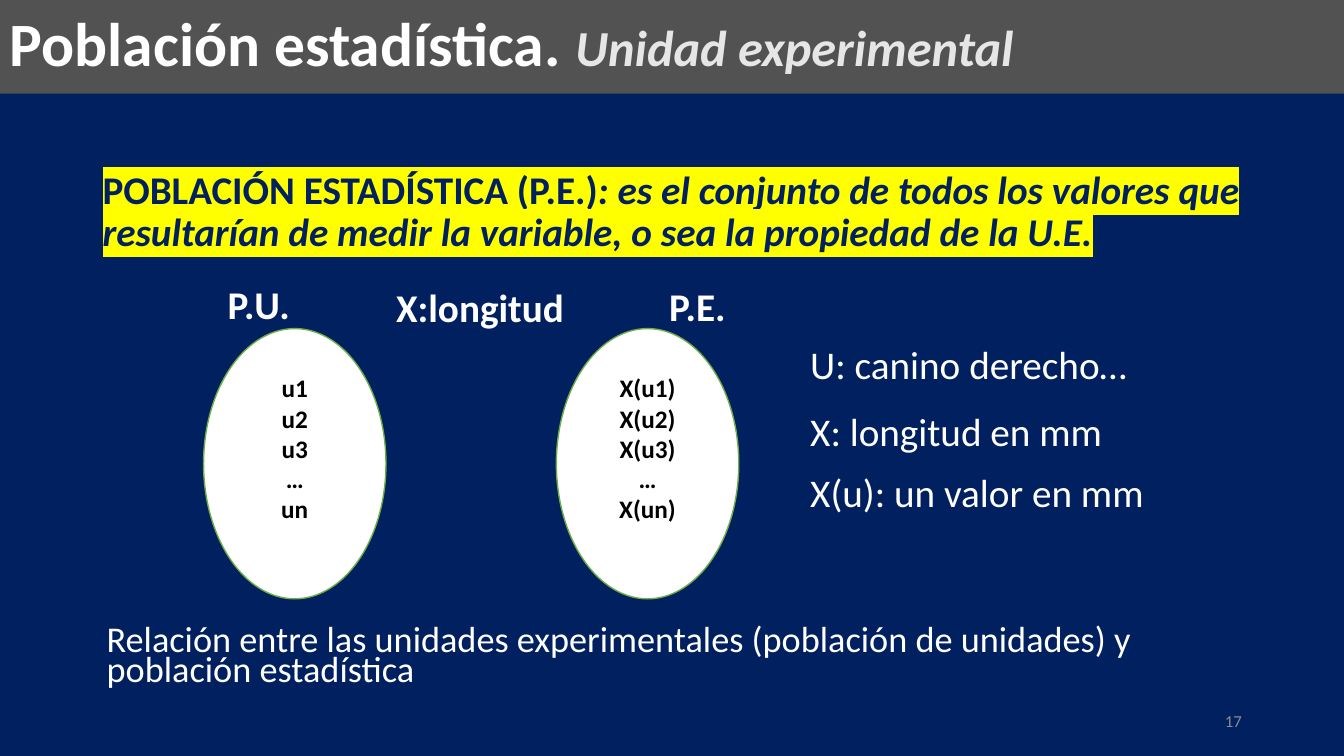
"""Builds the slide on statistical population and experimental unit."""
import dataclasses

import lxml.etree
import pptx
import pptx.dml.color
import pptx.enum.shapes
import pptx.enum.text
import pptx.oxml.ns
import pptx.util

Pt = pptx.util.Pt
Shape = pptx.enum.shapes.MSO_SHAPE
Align = pptx.enum.text.PP_ALIGN
Anchor = pptx.enum.text.MSO_ANCHOR


def rgb(code):
    return pptx.dml.color.RGBColor.from_string(code)


@dataclasses.dataclass(frozen=True)
class Theme:
    font: str = "Calibri"
    navy: str = "002060"
    band: str = "525252"
    white: str = "FFFFFF"
    black: str = "000000"
    pale: str = "E7E6E6"
    gray: str = "8C8C8C"
    green: str = "70AD47"
    yellow: str = "FFFF00"
    title: float = 44
    sub: float = 36
    body: float = 28
    note: float = 25.9
    item: float = 18
    page: float = 12


class Deck:
    def __init__(self, theme):
        self.theme = theme
        self.show = pptx.Presentation()
        self.show.slide_width, self.show.slide_height = Pt(960), Pt(540)
        self.slide = self.show.slides.add_slide(self.show.slide_layouts[6])
        fill = self.slide.background.fill
        fill.solid()
        fill.fore_color.rgb = rgb(theme.navy)

    def style(self, run, size, color, bold=False, italic=False, mark=None):
        font = run.font
        font.name, font.size = self.theme.font, Pt(size)
        font.bold, font.italic = bold, italic
        font.color.rgb = rgb(color)
        if mark:
            qn = pptx.oxml.ns.qn
            light = lxml.etree.Element(qn("a:highlight"))
            lxml.etree.SubElement(light, qn("a:srgbClr"), val=mark)
            run._r.get_or_add_rPr().find(qn("a:solidFill")).addnext(light)

    def label(self, shape, runs, align=Align.LEFT, anchor=Anchor.TOP, lead=None):
        frame = shape.text_frame
        frame.word_wrap, frame.vertical_anchor = True, anchor
        par = frame.paragraphs[0]
        par.alignment = align
        if lead:
            par.line_spacing = lead
        for words, look in runs:
            run = par.add_run()
            run.text = words
            self.style(run, **look)

    def text(self, box, words, size, color, bold=False, **place):
        look = dict(size=size, color=color, bold=bold)
        self.rich(box, [(words, look)], **place)

    def rich(self, box, runs, **place):
        shape = self.slide.shapes.add_textbox(*map(Pt, box))
        self.label(shape, runs, **place)

    def form(self, kind, box, color, edge=None):
        shape = self.slide.shapes.add_shape(kind, *map(Pt, box))
        shape.shadow.inherit = False
        shape.fill.solid()
        shape.fill.fore_color.rgb = rgb(color)
        if edge:
            shape.line.color.rgb = rgb(edge)
            shape.line.width = Pt(1)
        else:
            shape.line.fill.background()
        return shape

    def banner(self, box, runs):
        shape = self.form(Shape.RECTANGLE, box, self.theme.band)
        self.label(shape, runs, anchor=Anchor.MIDDLE, lead=0.9)

    def oval(self, box, items):
        theme = self.theme
        shape = self.form(Shape.OVAL, box, theme.white, theme.green)
        frame = shape.text_frame
        frame.word_wrap, frame.vertical_anchor = True, Anchor.MIDDLE
        frame.margin_bottom = Pt(25.6)
        frame.text = "\n".join(items)
        for par in frame.paragraphs:
            par.alignment = Align.CENTER
            self.style(par.runs[0], theme.item, theme.black, bold=True)


def main():
    theme = Theme()
    deck = Deck(theme)

    deck.banner((0, 0, 960, 67), [
        ("Población estadística. ", dict(size=theme.title, color=theme.white, bold=True)),
        ("Unidad experimental", dict(size=theme.sub, color=theme.pale, bold=True, italic=True)),
    ])

    key = dict(size=theme.body, color=theme.navy, bold=True, mark=theme.yellow)
    deck.rich((66.2, 118.1, 828, 81.4), [
        ("POBLACIÓN ESTADÍSTICA (P.E.)", key),
        (": es el conjunto de todos los valores que resultarían de medir "
         "la variable, o sea la propiedad de la U.E.", dict(key, italic=True)),
    ], lead=0.9)

    units = ("u1", "u2", "u3", "…", "un")
    values = [u if u == "…" else f"X({u})" for u in units]
    for left, items in ((145.4, units), (397.4, values)):
        deck.oval((left, 234.7, 130.3, 193), items)

    for left, top, width, words in (
        (155.5, 196.6, 59.8, "P.U."),
        (275.8, 198.7, 148.3, "X:longitud"),
        (470.9, 198, 59.8, "P.E."),
    ):
        deck.text((left, top, width, 41), words, theme.body, theme.white, bold=True)

    for top, words in (
        (239.8, "U: canino derecho…"),
        (287.3, "X: longitud en mm"),
        (331.2, "X(u): un valor en mm"),
    ):
        deck.text((571.7, top, 302.4, 41), words, theme.body, theme.white)

    deck.text((69.1, 445, 750.2, 57.6),
              "Relación entre las unidades experimentales (población de unidades) "
              "y población estadística", theme.note, theme.white, lead=0.7)
    deck.text((678.2, 500.4, 216, 28.8), "17", theme.page, theme.gray,
              align=Align.RIGHT, anchor=Anchor.MIDDLE)

    deck.show.save("out.pptx")


if __name__ == "__main__":
    main()
